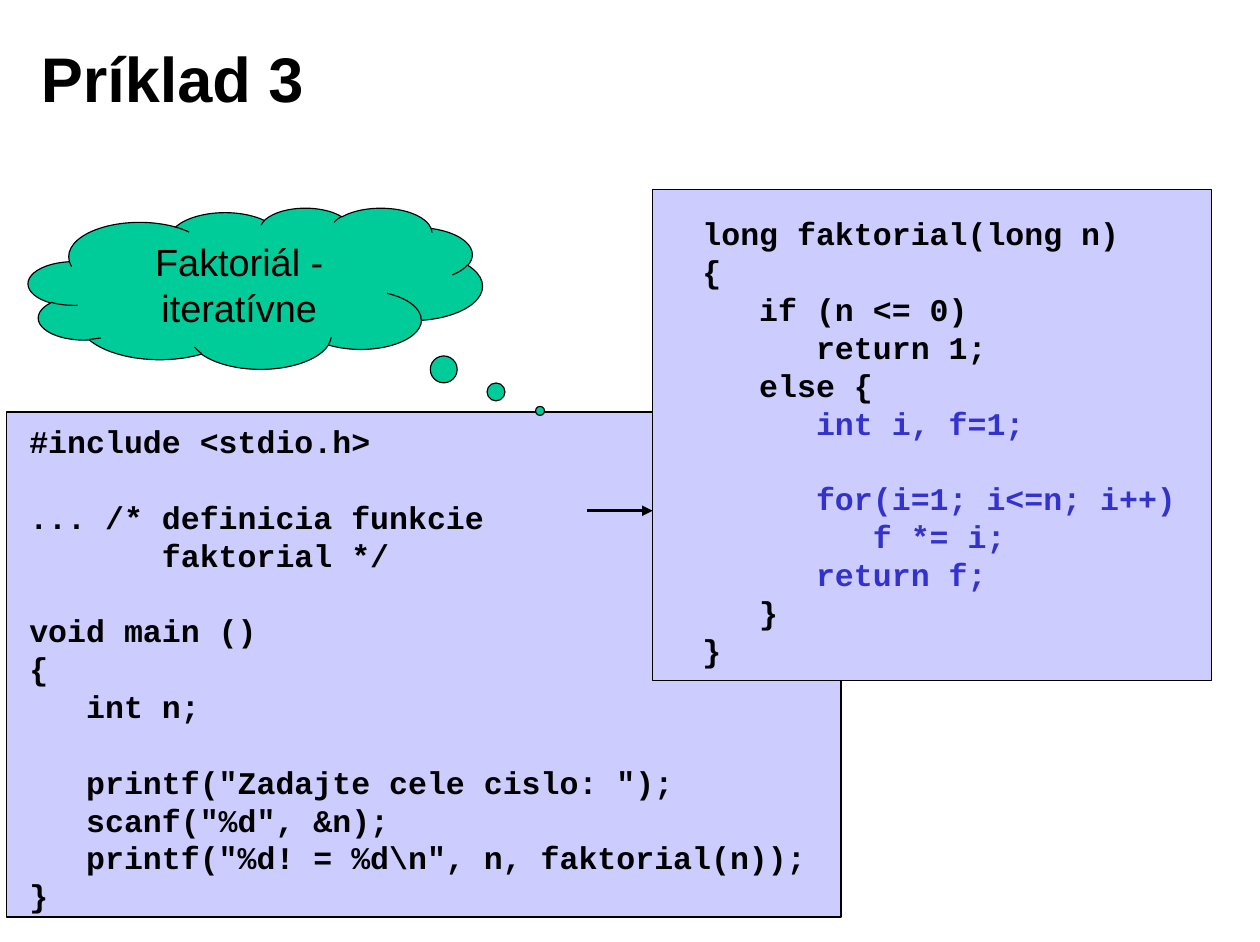
from lxml import etree
from pptx import Presentation
from pptx import util as u
from pptx.dml.color import RGBColor
from pptx.enum import shapes, text
from pptx.oxml import ns

BLACK = RGBColor(0x00, 0x00, 0x00)
LILAC = RGBColor(0xCC, 0xCC, 0xFF)
GREEN = RGBColor(0x00, 0xCC, 0x99)
BLUE = RGBColor(0x33, 0x33, 0xCC)

TITLE_FONT = {"name": "Arial", "size": u.Pt(40), "bold": True}
CODE_FONT = {"name": "Courier New", "size": u.Pt(20), "bold": True}
THOUGHT_FONT = {"name": "Arial", "size": u.Pt(24), "bold": False}
CODE_LINE = u.Pt(24)
THOUGHT_LINE = u.Pt(28.8)

MAIN_CODE = r'''#include <stdio.h>

... /* definicia funkcie
       faktorial */

void main ()
{
   int n;

   printf("Zadajte cele cislo: ");
   scanf("%d", &n);
   printf("%d! = %d\n", n, faktorial(n));
}'''

FUNCTION_CODE = '''long faktorial(long n)
{
   if (n <= 0)
      return 1;
   else {
      int i, f=1;

      for(i=1; i<=n; i++)
         f *= i;
      return f;
   }
}'''
LOOP_LINES = range(5, 10)


def style_font(font, values, color=BLACK):
    for key, value in values.items():
        setattr(font, key, value)
    font.color.rgb = color


def add_filled(slide, kind, box, fill):
    shape = slide.shapes.add_shape(kind, *map(u.Inches, box))
    shape.shadow.inherit = False
    shape.fill.solid()
    shape.fill.fore_color.rgb = fill
    shape.line.color.rgb = BLACK
    shape.line.width = u.Pt(0.75)
    return shape


def add_title(slide, box, wording):
    title = slide.shapes.title
    title.left, title.top, title.width, title.height = map(u.Inches, box)
    frame = title.text_frame
    margins = {"margin_left": 0.11, "margin_right": 0.11,
               "margin_top": 0.06, "margin_bottom": 0.06}
    for key, value in margins.items():
        setattr(frame, key, u.Inches(value))
    frame.vertical_anchor = text.MSO_ANCHOR.MIDDLE
    frame.text = wording
    frame.paragraphs[0].alignment = text.PP_ALIGN.LEFT
    style_font(frame.paragraphs[0].font, TITLE_FONT)


def add_code_panel(slide, box, inset, text_size, code, blue_lines=()):
    """Panel with a code listing; an empty code line becomes space before."""
    left, top = box[:2]
    add_filled(slide, shapes.MSO_SHAPE.RECTANGLE, box, LILAC)
    listing = slide.shapes.add_textbox(
        *map(u.Inches, (left + inset[0], top + inset[1], *text_size)))
    frame = listing.text_frame
    frame.word_wrap = False
    gap = False
    for number, line in enumerate(code.split("\n")):
        if not line:
            gap = True
            continue
        paragraph = frame.add_paragraph() if number else frame.paragraphs[0]
        paragraph.text = line
        paragraph.line_spacing = CODE_LINE
        if gap:
            paragraph.space_before = CODE_LINE
        gap = False
        style_font(paragraph.font, CODE_FONT,
                   BLUE if number in blue_lines else BLACK)


def add_arrow(slide, start, end):
    arrow = slide.shapes.add_connector(
        shapes.MSO_CONNECTOR.STRAIGHT, *map(u.Inches, (*start, *end)))
    arrow.line.color.rgb = BLACK
    arrow.line.width = u.Pt(2.25)
    etree.SubElement(arrow.line._get_or_add_ln(), ns.qn("a:tailEnd"), type="triangle")
    etree.SubElement(arrow._element.spPr, ns.qn("a:effectLst"))


def add_thought(slide, box, wording):
    cloud = add_filled(slide, shapes.MSO_SHAPE.CLOUD_CALLOUT, box, GREEN)
    cloud.adjustments[0] = 0.627
    cloud.adjustments[1] = 0.761
    frame = cloud.text_frame
    frame.word_wrap = True
    frame.vertical_anchor = text.MSO_ANCHOR.TOP
    frame.margin_top = u.Inches(0.06)
    frame.text = wording
    paragraph = frame.paragraphs[0]
    paragraph.alignment = text.PP_ALIGN.CENTER
    paragraph.line_spacing = THOUGHT_LINE
    style_font(paragraph.font, THOUGHT_FONT)


def main():
    deck = Presentation()
    deck.slide_width, deck.slide_height = u.Inches(11.1), u.Inches(8.3)
    slide = deck.slides.add_slide(deck.slide_layouts[5])

    # Title
    add_title(slide, (0.25, 0.17, 8.92, 1.02), "Príklad 3")

    # Main program, and the function it points to
    add_code_panel(slide, (0.06, 3.63, 7.35, 4.45), (0.1, 0.04), (7.05, 4.44), MAIN_CODE)
    add_code_panel(slide, (5.75, 1.67, 4.92, 4.33), (0.34, 0.17), (4.4, 4.1),
                   FUNCTION_CODE, LOOP_LINES)
    add_arrow(slide, (5.17, 4.5), (5.75, 4.5))

    # Thought cloud
    add_thought(slide, (0.25, 1.83, 4, 1.42), "Faktoriál - iteratívne")

    deck.save("out.pptx")


if __name__ == "__main__":
    main()
